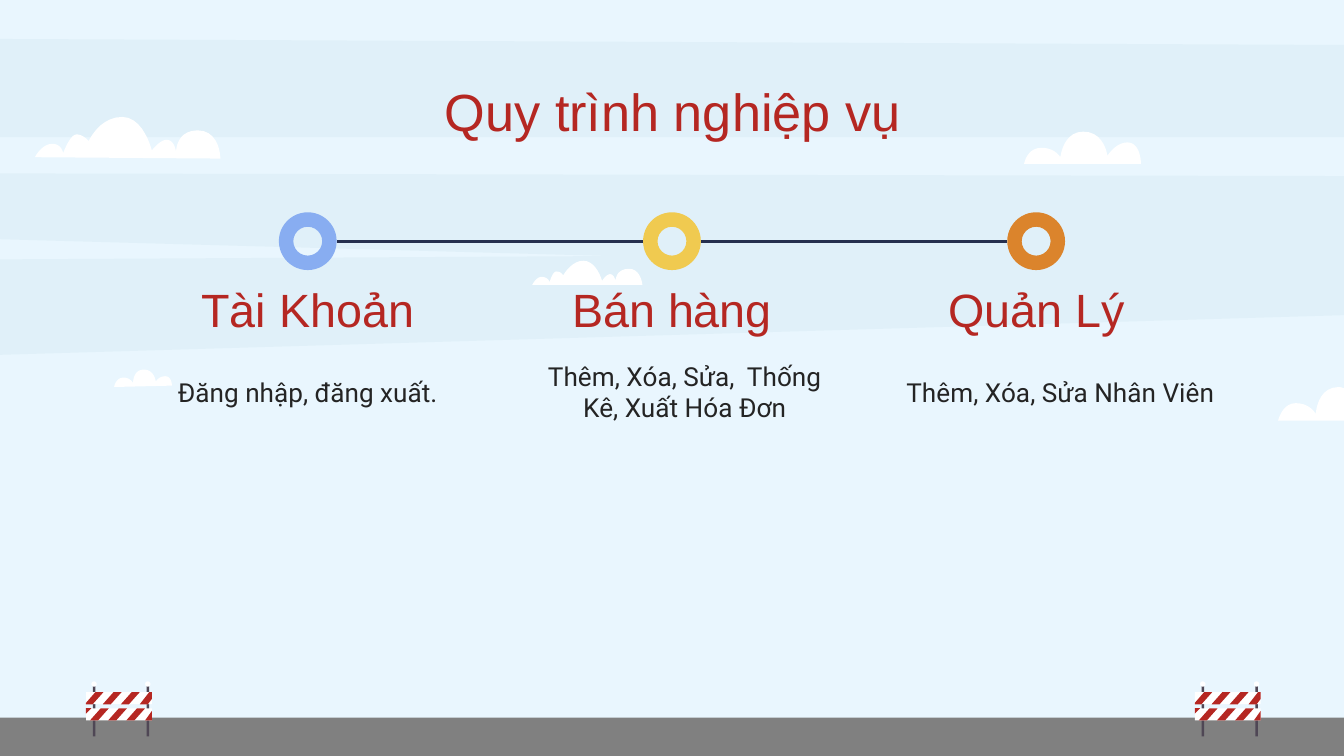
from dataclasses import dataclass

from lxml.etree import SubElement
from pptx import Presentation
from pptx.dml.color import RGBColor
from pptx.enum.shapes import MSO_CONNECTOR as Connector, MSO_SHAPE as Preset
from pptx.enum.text import MSO_ANCHOR as Anchor, MSO_AUTO_SIZE as AutoSize, PP_ALIGN as Align
from pptx.oxml.ns import qn
from pptx.util import Pt

PX = 4572  # EMU per px, 200 px to the inch
WIDTH, HEIGHT = 2000, 1125


@dataclass(frozen=True)
class Theme:
    sky: str = "E9F6FE"
    band: str = "B5D6E2"
    band_opacity: int = 17
    white: str = "FFFFFF"
    road: str = "808080"
    red: str = "B52722"
    ink: str = "242424"
    line: str = "26304F"
    post: str = "4F4755"
    heading_font: str = "Arial"
    body_font: str = "Roboto"
    title_size: float = 28
    heading_size: float = 25
    body_size: float = 14
    line_width: float = 1.5
    inset: int = 20


def emu(*lengths):
    return [round(length * PX) for length in lengths]


def curve(start, first, second, end, steps=10):
    """Points along a cubic Bezier curve, without its start."""
    for step in range(1, steps + 1):
        t = step / steps
        weights = ((1 - t) ** 3, 3 * t * (1 - t) ** 2, 3 * t * t * (1 - t), t ** 3)
        nodes = (start, first, second, end)
        yield tuple(sum(w * node[axis] for w, node in zip(weights, nodes)) for axis in (0, 1))


class Painter:
    def __init__(self, page, theme):
        self.page, self.theme = page, theme
        self.shapes = page.shapes

    def background(self, color):
        fill = self.page.background.fill
        fill.solid()
        fill.fore_color.rgb = RGBColor.from_string(color)

    def paint(self, shape, color, opacity=100):
        shape.shadow.inherit = False
        shape.fill.solid()
        shape.fill.fore_color.rgb = RGBColor.from_string(color)
        shape.line.fill.background()
        if opacity < 100:
            tint = shape.element.spPr.find(".//" + qn("a:srgbClr"))
            SubElement(tint, qn("a:alpha")).set("val", str(opacity * 1000))

    def shape(self, preset, left, top, width, height, color, shapes=None):
        shape = (shapes or self.shapes).add_shape(preset, *emu(left, top, width, height))
        self.paint(shape, color)
        return shape

    def outline(self, points, color, opacity=100, shapes=None):
        start, *others = [emu(*point) for point in points]
        builder = (shapes or self.shapes).build_freeform(*start, scale=1.0)
        builder.add_line_segments(others, close=True)
        self.paint(builder.convert_to_shape(), color, opacity)

    def cloud(self, start, bumps, corners=()):
        points = [start]
        for left_pull, peak_x, peak_y, right_pull, end_x, end_y in bumps:
            valley, peak, end = points[-1], (peak_x, peak_y), (end_x, end_y)
            points += curve(valley, valley, (left_pull, peak_y), peak)
            points += curve(peak, (right_pull, peak_y), end, end)
        self.outline([*points, *corners], self.theme.white)

    def line(self, start, end):
        line = self.shapes.add_connector(Connector.STRAIGHT, *emu(*start, *end))
        line.line.color.rgb = RGBColor.from_string(self.theme.line)
        line.line.width = Pt(self.theme.line_width)
        SubElement(line.element.spPr, qn("a:effectLst"))

    def set_text(self, box, text, font, size, color, anchor):
        frame = box.text_frame
        frame.text = text
        frame.word_wrap = True
        frame.auto_size = AutoSize.NONE
        frame.vertical_anchor = anchor
        inset, = emu(self.theme.inset)
        frame.margin_left = frame.margin_right = inset
        frame.margin_top = frame.margin_bottom = inset
        para = frame.paragraphs[0]
        para.alignment = Align.CENTER
        para.font.name, para.font.size = font, Pt(size)
        para.font.color.rgb = RGBColor.from_string(color)

    def text(self, left, top, width, height, text, font, size, color):
        box = self.shapes.add_textbox(*emu(left, top, width, height))
        self.set_text(box, text, font, size, color, Anchor.MIDDLE)

    def title(self, left, top, width, height, text):
        box = self.shapes.title
        box.left, box.top, box.width, box.height = emu(left, top, width, height)
        theme = self.theme
        self.set_text(box, text, theme.heading_font, theme.title_size, theme.red, Anchor.TOP)
        box.element.getparent().append(box.element)  # in front of the sky

    def barrier(self, left):
        theme = self.theme
        shapes = self.shapes.add_group_shape().shapes
        for post in (left + 90, left + 10):
            self.shape(Preset.RECTANGLE, post, 1020, 4, 76, theme.post, shapes)
            self.shape(Preset.OVAL, post - 2, 1014, 8, 8, theme.white, shapes)
        for top, stripes in BOARDS:
            self.shape(Preset.RECTANGLE, left, top, 98, 18, theme.white, shapes)
            for corners in stripes:
                self.outline([(left + x, top + y) for x, y in corners], theme.red, shapes=shapes)


def stripe(x):
    return [(x, 0), (x - 16, 18), (x - 4, 18), (x + 12, 0)]


# Each board: its top, then stripes, those at the ends cut by the board's edge
BOARDS = [
    (1030, [[(14, 0), (0, 16), (0, 18), (10, 18), (26, 0)], stripe(41), stripe(68),
            [(94, 0), (80, 18), (92, 18), (98, 10), (98, 0)]]),
    (1054, [[(0, 0), (0, 8), (8, 0)], stripe(22), stripe(49), stripe(76),
            [(98, 4), (88, 18), (98, 18)]]),
]

BANDS = [
    [(0, 58), (0, 204), (WIDTH, 204), (WIDTH, 67)],
    [(0, 258), (0, 356), (910, 381), (0, 386), (0, 528), (WIDTH, 469), (WIDTH, 262)],
]

# Each cloud: start, then bumps as left pull, peak x, peak y, right pull, end x, end y
CLOUDS = [
    ((52, 234), [(62, 78, 214, 92, 94, 228), (104, 114, 200, 124, 132, 210),
                 (148, 182, 174, 214, 226, 224), (238, 248, 208, 260, 262, 226),
                 (262, 294, 194, 328, 328, 236)]),
    ((792, 424), [(798, 806, 412, 816, 818, 420), (822, 828, 404, 836, 838, 410),
                  (850, 868, 388, 888, 896, 418), (902, 908, 408, 914, 916, 418),
                  (916, 936, 400, 954, 956, 424)]),
    ((1524, 244), [(1528, 1550, 220, 1570, 1578, 234), (1582, 1612, 196, 1644, 1648, 232),
                   (1660, 1678, 212, 1698, 1698, 244)]),
    ((170, 576), [(172, 184, 562, 194, 198, 570), (198, 214, 550, 230, 232, 568),
                  (236, 246, 560, 256, 256, 574)]),
    ((1902, 626), [(1908, 1928, 600, 1950, 1958, 616), (1960, 1992, 576, 1996, 2000, 578)],
     [(WIDTH, 626)]),
]

# Each step: heading, description, description width, ring colour
STEPS = [
    ("Tài Khoản", "Đăng nhập, đăng xuất.", 434, "88ADF1"),
    ("Bán hàng", "Thêm, Xóa, Sửa,  Thống Kê, Xuất Hóa Đơn", 472, "F0CA50"),
    ("Quản Lý", "Thêm, Xóa, Sửa Nhân Viên", 506, "DB842C"),
]
FIRST_CENTER, PITCH, COLUMN = 458, 542, 434
RING, RING_TOP = 86, 316


def main():
    deck = Presentation()
    deck.slide_width, deck.slide_height = emu(WIDTH, HEIGHT)
    theme = Theme()
    painter = Painter(deck.slides.add_slide(deck.slide_layouts[5]), theme)

    # Sky, clouds and road
    painter.background(theme.sky)
    for band in BANDS:
        painter.outline(band, theme.band, theme.band_opacity)
    for cloud in CLOUDS:
        painter.cloud(*cloud)
    painter.shape(Preset.RECTANGLE, 0, 1068, WIDTH, HEIGHT - 1068, theme.road)

    painter.title(158, 98, 1686, 126, "Quy trình nghiệp vụ")

    # Steps, each joined to the one before
    for index, (heading, description, width, color) in enumerate(STEPS):
        center = FIRST_CENTER + index * PITCH
        left, ring_left = center - COLUMN // 2, center - RING // 2
        painter.text(left, 402, COLUMN, 116, heading,
                     theme.heading_font, theme.heading_size, theme.red)
        painter.text(left, 530, width, 106, description,
                     theme.body_font, theme.body_size, theme.ink)
        ring = painter.shape(Preset.DONUT, ring_left, RING_TOP, RING, RING, color)
        ring.adjustments[0] = 0.25
        if index:
            middle = RING_TOP + RING // 2
            painter.line((ring_left, middle), (ring_left + RING - PITCH, middle))

    # Road barriers
    for left in (1778, 128):
        painter.barrier(left)

    deck.save("out.pptx")


if __name__ == "__main__":
    main()
